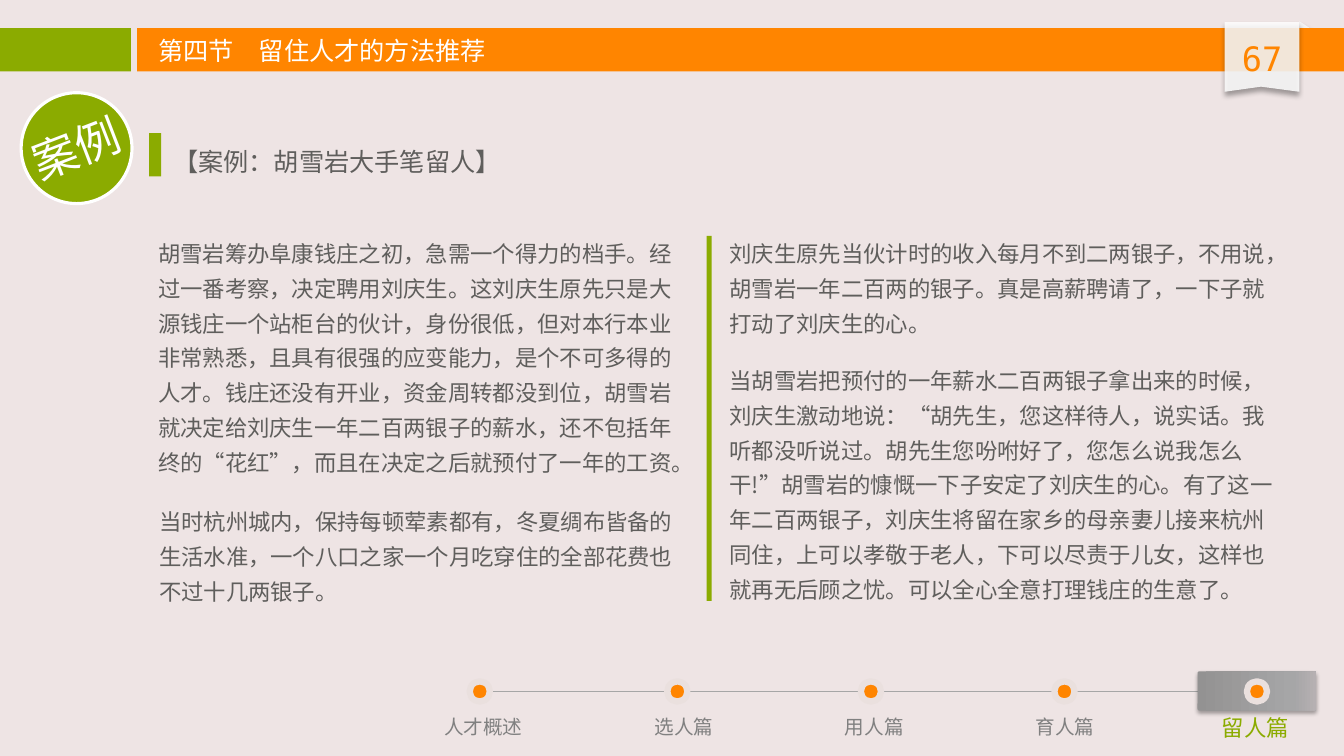
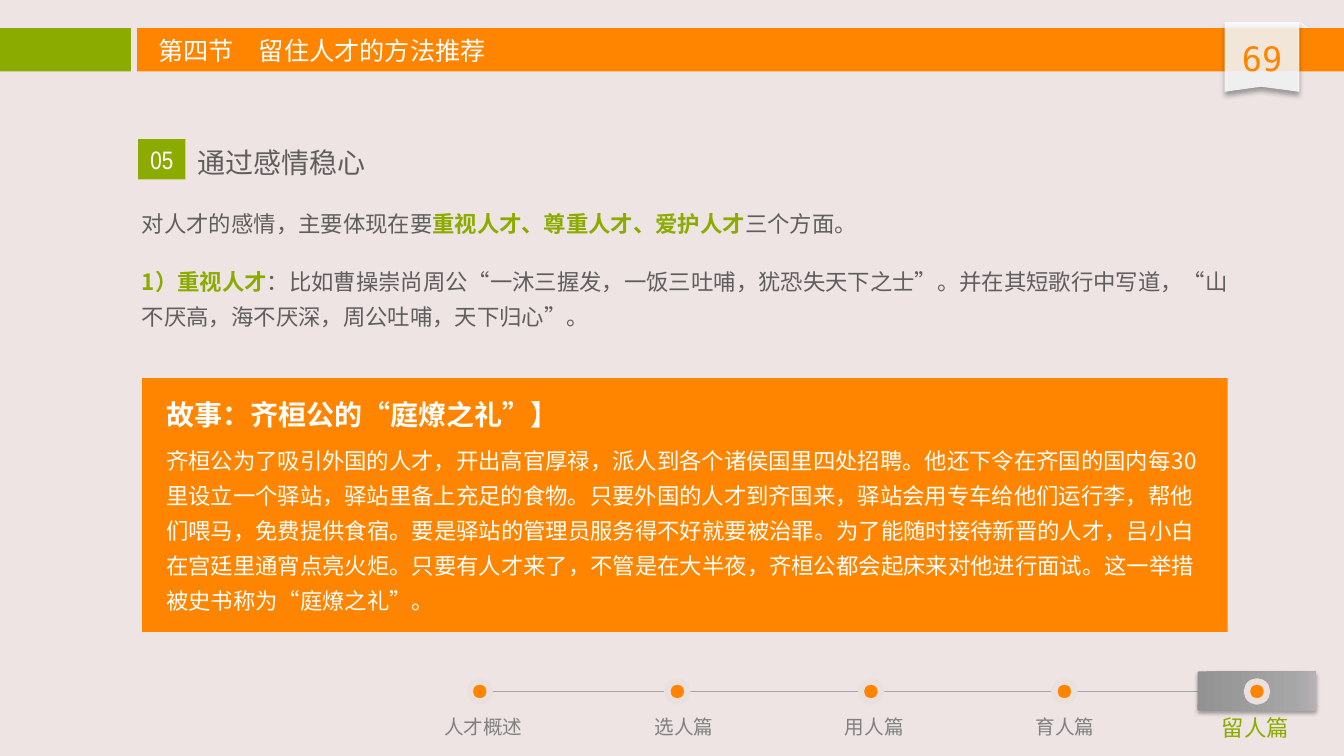
"""Build two training slides on keeping talent, with a shared header and chapter track."""
from copy import deepcopy
from typing import NamedTuple

from lxml import etree
from pptx import Presentation
from pptx.dml.color import RGBColor
from pptx.enum.lang import MSO_LANGUAGE_ID
from pptx.enum.shapes import MSO_CONNECTOR, MSO_SHAPE
from pptx.enum.text import PP_ALIGN
from pptx.oxml.ns import qn
from pptx.util import Inches, Pt

RECT, OVAL = MSO_SHAPE.RECTANGLE, MSO_SHAPE.OVAL
ROUNDED, TRIANGLE = MSO_SHAPE.ROUNDED_RECTANGLE, MSO_SHAPE.RIGHT_TRIANGLE
STRAIGHT = MSO_CONNECTOR.STRAIGHT
LEFT, CENTER = PP_ALIGN.LEFT, PP_ALIGN.CENTER
CHINESE = MSO_LANGUAGE_ID.SIMPLIFIED_CHINESE

BACKGROUND = RGBColor(0xEE, 0xE4, 0xE4)
GREEN = RGBColor(0x8B, 0xAB, 0x00)
ORANGE = RGBColor(0xFF, 0x85, 0x00)
WHITE = RGBColor(0xFF, 0xFF, 0xFF)
FOLD = RGBColor(0xF8, 0xF8, 0xF8)
INK = RGBColor(0x5F, 0x5E, 0x5C)
LABEL = RGBColor(0x80, 0x80, 0x80)
TRACK = RGBColor(0xA6, 0xA6, 0xA6)
RING = RGBColor(0xEA, 0xE0, 0xDE)
TAB_STOPS = [
    (0, RGBColor(0x93, 0x92, 0x92)),
    (0.8, RGBColor(0xA6, 0xA6, 0xA7)),
    (1, RGBColor(0xB6, 0xB0, 0xB2)),
]

CJK = "Noto Sans CJK SC"
MONO = "DejaVu Sans Mono"
NARROW = "Arial Narrow"

CELL = Inches(0.1)
COLUMNS, ROWS = 133.33, 75
SECTION = "第四节　留住人才的方法推荐"
CHAPTERS = [
    ("人才概述", 47.6, 47.95),
    ("选人篇", 67.2, 67.85),
    ("用人篇", 86.4, 86.75),
    ("育人篇", 105.6, 105.65),
    ("留人篇", 124.7, 124.55),
]
CURRENT = "留人篇"


class Run(NamedTuple):
    """A stretch of text in one style."""

    text: str
    size: float = 16
    color: RGBColor = INK
    bold: bool = False
    font: str = CJK


def cells(*counts):
    """Turn grid counts into lengths."""
    return [round(n * CELL) for n in counts]


class Deck:
    """Hold the style and the current slide."""

    def __init__(self):
        """Start an empty deck on the grid."""
        self.prs = Presentation()
        self.prs.slide_width, self.prs.slide_height = cells(COLUMNS, ROWS)
        self.s = None

    def slide(self, number):
        """Add a slide with the shared frame."""
        self.s = self.prs.slides.add_slide(self.prs.slide_layouts[6])
        fill = self.s.background.fill
        fill.solid()
        fill.fore_color.rgb = BACKGROUND
        self.line(48.2, 68.6, 124.5, 68.6)
        self.header(number)
        self.track()

    def header(self, number):
        """Draw the title bands and the page ribbon."""
        fold = self.shape(TRIANGLE, 128.9, 2.1, 1.2, 0.8, FOLD)
        self.shape(RECT, 0, 2.8, 13, 4.3, GREEN)
        self.shape(RECT, 13.6, 2.8, COLUMNS - 13.6, 4.3, ORANGE)
        ribbon = self.outline(
            [(121.5, 9.1), (121.5, 2.2), (128.9, 2.2), (128.9, 9.1), (125.1, 8.6)], WHITE)
        for sp in (fold, ribbon):
            self.alpha(sp.element.spPr.find(".//" + qn("a:srgbClr")), 85)
            self.shadow(sp, 40, 4, 3)
        self.text(121.5, 3.3, 7.4, 5, [[Run(number, 24, ORANGE, font=MONO)]], align=CENTER)
        self.text(14.7, 3, 50.4, 4, [[Run(SECTION, 18, WHITE)]])

    def track(self):
        """Draw the chapter track and mark the current chapter."""
        for name, dot, middle in CHAPTERS:
            current = name == CURRENT
            if current:
                tab = self.shape(ROUNDED, 118.8, 66.6, 11.8, 3.9)
                tab.adjustments[0] = 0.05
                self.gradient(tab, TAB_STOPS)
                self.shadow(tab, 35, 3.1, 1.8)
            self.shape(OVAL, dot - 1, 67.6, 2, 2, ORANGE, RING, 4.5)
            run = Run(name, 16, GREEN) if current else Run(name, 14, LABEL)
            self.text(middle - 5, 70.4, 10, 3.5, [[run]], align=CENTER, wrap=False)

    def line(self, x1, y1, x2, y2):
        """Draw a thin track line."""
        c = self.s.shapes.add_connector(STRAIGHT, *cells(x1, y1, x2, y2))
        c.line.color.rgb = TRACK
        c.line.width = Pt(1)
        etree.SubElement(c.element.spPr, qn("a:effectLst"))

    def shape(self, kind, x, y, w, h, fill=None, line=None, width=1):
        """Draw a preset shape."""
        sp = self.s.shapes.add_shape(kind, *cells(x, y, w, h))
        return self.paint(sp, fill, line, width)

    def outline(self, points, fill):
        """Draw a closed polygon."""
        start, *rest = [tuple(cells(*point)) for point in points]
        builder = self.s.shapes.build_freeform(*start)
        builder.add_line_segments(rest, close=True)
        return self.paint(builder.convert_to_shape(), fill)

    def paint(self, sp, fill=None, line=None, width=1):
        """Set fill and line and drop the shadow."""
        sp.shadow.inherit = False
        if fill is not None:
            sp.fill.solid()
            sp.fill.fore_color.rgb = fill
        if line is None:
            sp.line.fill.background()
        else:
            sp.line.color.rgb = line
            sp.line.width = Pt(width)
        return sp

    def gradient(self, sp, stops):
        """Fill a shape with a gradient of three stops."""
        sp.fill.gradient()
        sp.fill.gradient_angle = 0
        gs_list = sp.element.spPr.find(".//" + qn("a:gsLst"))
        gs_list.append(deepcopy(gs_list[-1]))
        for stop, (position, color) in zip(sp.fill.gradient_stops, stops):
            stop.position = position
            stop.color.rgb = color

    def alpha(self, color, percent):
        """Set the opacity of a colour element."""
        etree.SubElement(color, qn("a:alpha"), val=str(percent * 1000))

    def shadow(self, sp, percent, blur, distance):
        """Add a soft shadow below a shape."""
        effects = sp.element.spPr.find(qn("a:effectLst"))
        outer = etree.SubElement(
            effects, qn("a:outerShdw"), blurRad=str(Pt(blur)), dist=str(Pt(distance)),
            dir="5400000", algn="t", rotWithShape="0")
        self.alpha(etree.SubElement(outer, qn("a:srgbClr"), val="000000"), percent)

    def text(self, x, y, w, h, paragraphs, **style):
        """Add a text box."""
        sp = self.s.shapes.add_textbox(*cells(x, y, w, h))
        self.label(sp, paragraphs, **style)
        return sp

    def label(self, sp, paragraphs, align=LEFT, wrap=True, spacing=1.0, after=0):
        """Put paragraphs of runs into a shape."""
        tf = sp.text_frame
        tf.word_wrap = wrap
        for i, runs in enumerate(paragraphs):
            p = tf.add_paragraph() if i else tf.paragraphs[0]
            p.alignment = align
            p.line_spacing = spacing
            p.space_after = Pt(after)
            for run in runs:
                r = p.add_run()
                r.text = run.text
                r.font.size = Pt(run.size)
                r.font.bold = run.bold
                r.font.color.rgb = run.color
                r.font.name = run.font
                r.font.language_id = CHINESE
                etree.SubElement(r._r.get_or_add_rPr(), qn("a:ea"), typeface=run.font)

    def body(self, x, y, w, h, *runs):
        """Add one paragraph of body text."""
        self.text(x, y, w, h, [runs], spacing=1.3)


def case_slide(deck):
    """Build the case in two columns."""
    deck.slide("67")
    deck.body(14.7, 22.5, 55.1, 25.5, Run(
        "胡雪岩筹办阜康钱庄之初，急需一个得力的档手。经过一番考察，决定聘用刘庆生。"
        "这刘庆生原先只是大源钱庄一个站柜台的伙计，身份很低，但对本行本业非常熟悉，"
        "且具有很强的应变能力，是个不可多得的人才。钱庄还没有开业，资金周转都没到位，"
        "胡雪岩就决定给刘庆生一年二百两银子的薪水，还不包括年终的“花红”，"
        "而且在决定之后就预付了一年的工资。"))
    deck.body(14.8, 49.1, 55, 11.5, Run(
        "当时杭州城内，保持每顿荤素都有，冬夏绸布皆备的生活水准，"
        "一个八口之家一个月吃穿住的全部花费也不过十几两银子。"))
    deck.shape(RECT, 14.8, 13.2, 1.2, 4.3, GREEN)
    deck.body(16.2, 13.1, 52.3, 4.9, Run("【案例：胡雪岩大手笔留人】", 18))
    deck.shape(OVAL, 2.1, 9.2, 11, 11, GREEN, WHITE, 2.25)
    badge = deck.text(2.1, 11.5, 11, 6.4, [[Run("案例", 32, WHITE)]], align=CENTER, wrap=False)
    badge.rotation = 338.9
    deck.body(71.4, 22.5, 56.7, 11.5, Run(
        "刘庆生原先当伙计时的收入每月不到二两银子，不用说，胡雪岩一年二百两的银子。"
        "真是高薪聘请了，一下子就打动了刘庆生的心。"))
    deck.body(71.4, 35.1, 56.7, 25.5, Run(
        "当胡雪岩把预付的一年薪水二百两银子拿出来的时候，刘庆生激动地说："
        "“胡先生，您这样待人，说实话。我听都没听说过。胡先生您吩咐好了，您怎么说我怎么干!”"
        "胡雪岩的慷慨一下子安定了刘庆生的心。有了这一年二百两银子，"
        "刘庆生将留在家乡的母亲妻儿接来杭州同住，上可以孝敬于老人，下可以尽责于儿女，"
        "这样也就再无后顾之忧。可以全心全意打理钱庄的生意了。"))
    deck.shape(RECT, 70.1, 23.4, 0.5, 36.2, GREEN)


def feeling_slide(deck):
    """Build the method and its story panel."""
    deck.slide("69")
    deck.shape(RECT, 14.1, 37.5, 107.7, 25.2, ORANGE)
    deck.text(15.5, 37.9, 105.3, 23.7, [
        [Run("故事：齐桓公的“庭燎之礼”】", 20, WHITE, True)],
        [Run(
            "齐桓公为了吸引外国的人才，开出高官厚禄，派人到各个诸侯国里四处招聘。"
            "他还下令在齐国的国内每30里设立一个驿站，驿站里备上充足的食物。"
            "只要外国的人才到齐国来，驿站会用专车给他们运行李，帮他们喂马，免费提供食宿。"
            "要是驿站的管理员服务得不好就要被治罪。为了能随时接待新晋的人才，"
            "吕小白在宫廷里通宵点亮火炬。只要有人才来了，不管是在大半夜，"
            "齐桓公都会起床来对他进行面试。这一举措被史书称为“庭燎之礼”。", color=WHITE)],
    ], spacing=1.3, after=6)
    deck.text(18.6, 13.3, 67.7, 5, [[Run("通过感情稳心", 20)]], spacing=1.2)
    number = deck.shape(RECT, 13.7, 13.8, 4.7, 4, GREEN)
    deck.label(number, [[Run("05", 18, WHITE, font=NARROW)]], align=CENTER, wrap=False)
    deck.body(
        13.1, 19.6, 111.8, 4.5,
        Run("对人才的感情，主要体现在要"),
        Run("重视人才、尊重人才、爱护人才", color=GREEN, bold=True),
        Run("三个方面。"))
    deck.body(
        13.1, 25.3, 111.8, 8,
        Run("1）重视人才", color=GREEN, bold=True),
        Run("：比如曹操崇尚周公“一沐三握发，一饭三吐哺，犹恐失天下之士”。"
            "并在其短歌行中写道，“山不厌高，海不厌深，周公吐哺，天下归心”。"))


def main():
    """Build and save the deck."""
    deck = Deck()
    case_slide(deck)
    feeling_slide(deck)
    deck.prs.save("out.pptx")


if __name__ == "__main__":
    main()
